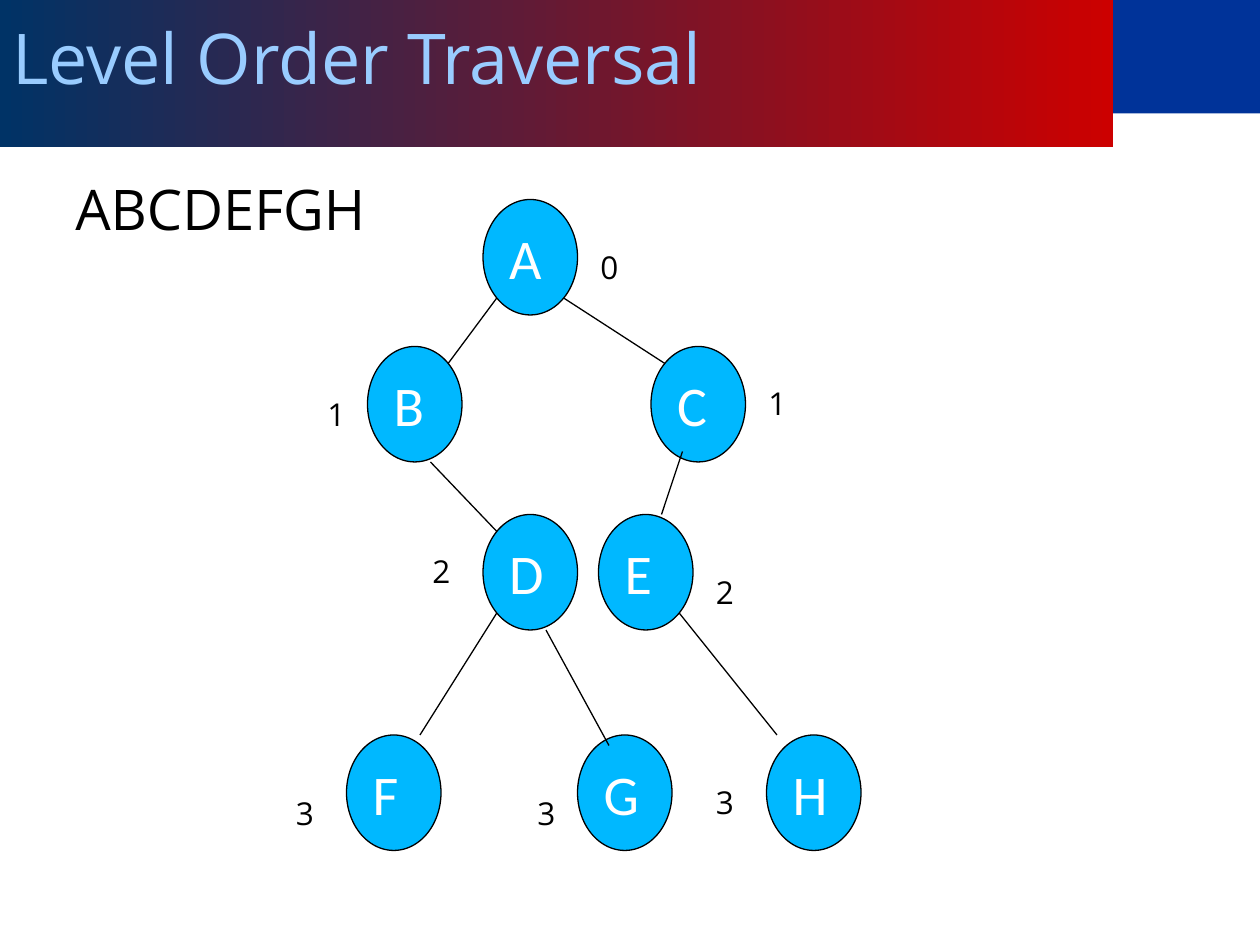
from pptx import Presentation
from pptx.dml.color import RGBColor
from pptx.enum.shapes import MSO_CONNECTOR, MSO_SHAPE
from pptx.enum.text import MSO_ANCHOR, MSO_AUTO_SIZE, PP_ALIGN
from pptx.oxml.ns import qn
from pptx.util import Pt
from lxml.etree import SubElement

NAVY = RGBColor(0x00, 0x33, 0x66)
RED = RGBColor(0xCC, 0x00, 0x00)
BLUE = RGBColor(0x00, 0x33, 0x99)
PALE_BLUE = RGBColor(0x99, 0xCC, 0xFF)
SKY = RGBColor(0x00, 0xB8, 0xFF)
BLACK = RGBColor(0x00, 0x00, 0x00)
WHITE = RGBColor(0xFF, 0xFF, 0xFF)
HEADING_FONT = "Open Sans"
NODE_FONT = "Calibri"

NODE_WIDTH, NODE_HEIGHT = 54, 66
NW, NE, SW, SE = (7.9, 9.7), (46.1, 9.7), (7.9, 56.3), (46.1, 56.3)

NODES = {
    "A": (114, 0), "B": (48, 84), "C": (210, 84), "D": (114, 180),
    "E": (180, 180), "F": (36, 306), "G": (168, 306), "H": (276, 306),
}
EDGES = [
    ("A", SW, "B", NE), ("A", SE, "C", NW),
    ("B", (36, 66), "D", NW), ("C", (18, 60), "E", (36, 0)),
    ("D", SW, "F", (42, 0)), ("D", (36, 66), "G", (18, 6)),
    ("E", SE, "H", (6, 0)),
]
LEVELS = [
    ("A", 0, 60, 24), ("B", 1, -30, 24), ("C", 1, 60, 18), ("D", 2, -36, 18),
    ("E", 2, 60, 30), ("F", 3, -36, 30), ("G", 3, -30, 30), ("H", 3, -36, 24),
]


def write(frame, text, size, font, color):
    """Put one left-aligned run into a text frame and return its paragraph."""
    paragraph = frame.paragraphs[0]
    paragraph.alignment = PP_ALIGN.LEFT
    run = paragraph.add_run()
    run.text = text
    run.font.size = Pt(size)
    run.font.name = font
    run.font.color.rgb = color
    return paragraph


def add_header(slide, left, top, width, height):
    """Place the gradient title band and the blue block to its right."""
    band_width = 636
    block = slide.shapes.add_shape(
        MSO_SHAPE.RECTANGLE, Pt(left + band_width), Pt(0),
        Pt(width - band_width), Pt(64.8))
    block.shadow.inherit = False
    block.fill.solid()
    block.fill.fore_color.rgb = BLUE
    block.line.fill.background()

    title = slide.shapes.title
    title.left, title.top = Pt(left), Pt(top)
    title.width, title.height = Pt(band_width), Pt(height)
    title.fill.gradient()
    title.fill.gradient_angle = 180
    for stop, color in zip(title.fill.gradient_stops, (RED, NAVY)):
        stop.color.rgb = color
    frame = title.text_frame
    frame.auto_size = MSO_AUTO_SIZE.NONE
    frame.vertical_anchor = MSO_ANCHOR.MIDDLE
    write(frame, "Level Order Traversal", 40, HEADING_FONT, PALE_BLUE)


def add_sequence(slide, left, top, width, height):
    """Place the visiting order in the content area."""
    sequence = slide.shapes.add_textbox(Pt(left), Pt(top), Pt(width), Pt(height))
    sequence.text_frame.word_wrap = True
    paragraph = write(sequence.text_frame, "ABCDEFGH", 32, HEADING_FONT, BLACK)
    paragraph.space_before = Pt(8)


def add_node(slide, letter, left, top):
    """Draw one lettered tree node."""
    node = slide.shapes.add_shape(
        MSO_SHAPE.OVAL, Pt(left), Pt(top), Pt(NODE_WIDTH), Pt(NODE_HEIGHT))
    node.shadow.inherit = False
    node.fill.solid()
    node.fill.fore_color.rgb = SKY
    node.line.color.rgb = BLACK
    node.line.width = Pt(0.75)
    node.text_frame.vertical_anchor = MSO_ANCHOR.MIDDLE
    write(node.text_frame, letter, 32, NODE_FONT, WHITE)


def add_edge(slide, start, end):
    """Draw one line between two points."""
    edge = slide.shapes.add_connector(
        MSO_CONNECTOR.STRAIGHT, *(Pt(value) for value in (*start, *end)))
    edge.line.color.rgb = BLACK
    edge.line.width = Pt(0.75)
    SubElement(edge.element.spPr, qn("a:effectLst"))


def add_level(slide, level, left, top):
    """Write one level number."""
    label = slide.shapes.add_textbox(Pt(left), Pt(top), Pt(26), Pt(29))
    label.text_frame.word_wrap = False
    label.text_frame.auto_size = MSO_AUTO_SIZE.SHAPE_TO_FIT_TEXT
    write(label.text_frame, str(level), 18, HEADING_FONT, BLACK)


def add_tree(slide, left, top):
    """Draw the nodes, edges and level numbers of the tree."""
    def place(letter, offset):
        """Return a point measured from a node's top left corner."""
        x, y = NODES[letter]
        return left + x + offset[0], top + y + offset[1]

    for letter in NODES:
        add_node(slide, letter, *place(letter, (0, 0)))
    for parent, leave, child, arrive in EDGES:
        add_edge(slide, place(parent, leave), place(child, arrive))
    for letter, level, dx, dy in LEVELS:
        add_level(slide, level, *place(letter, (dx, dy)))


def main():
    """Build and save the slide."""
    deck = Presentation()
    deck.slide_width, deck.slide_height = Pt(720), Pt(540)
    slide = deck.slides.add_slide(deck.slide_layouts.get_by_name("Title Only"))
    add_header(slide, 0, -19.2, 720, 103.2)
    add_sequence(slide, 36, 96, 648, 386)
    add_tree(slide, 162, 114)
    deck.save("out.pptx")


main()
